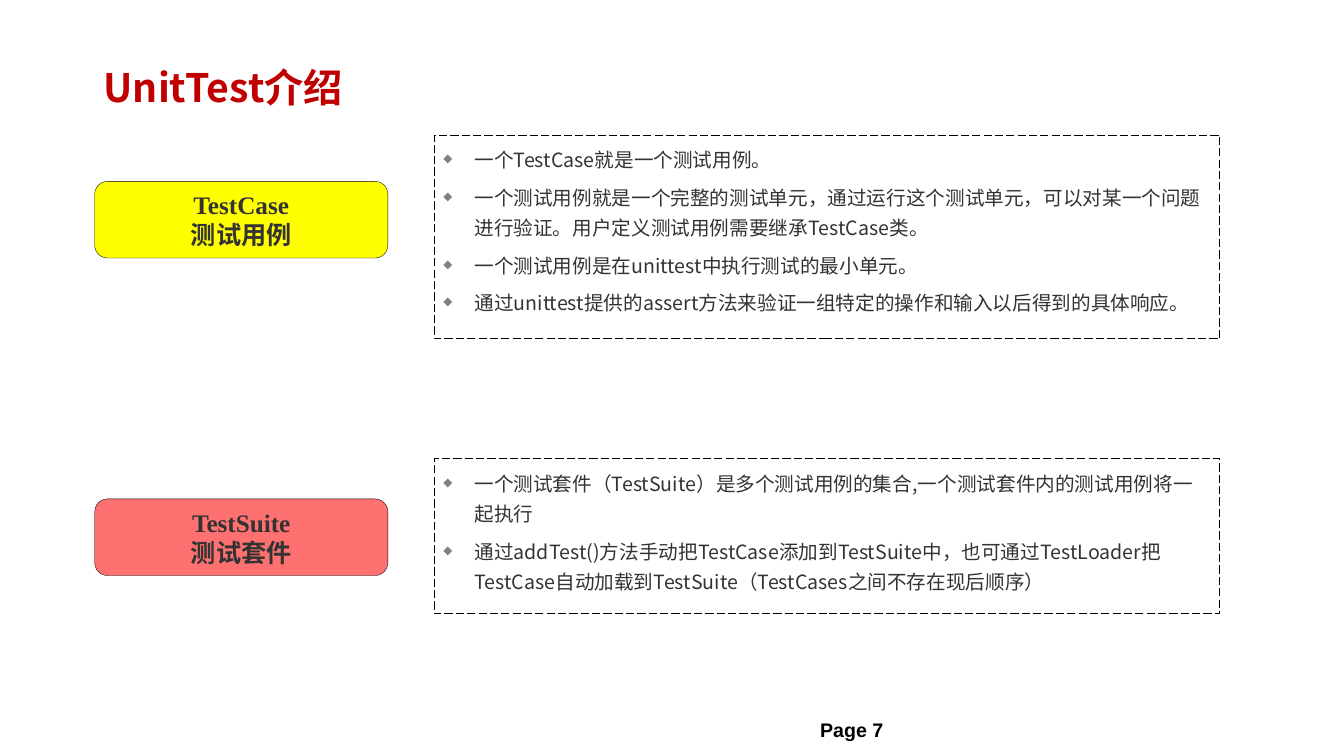
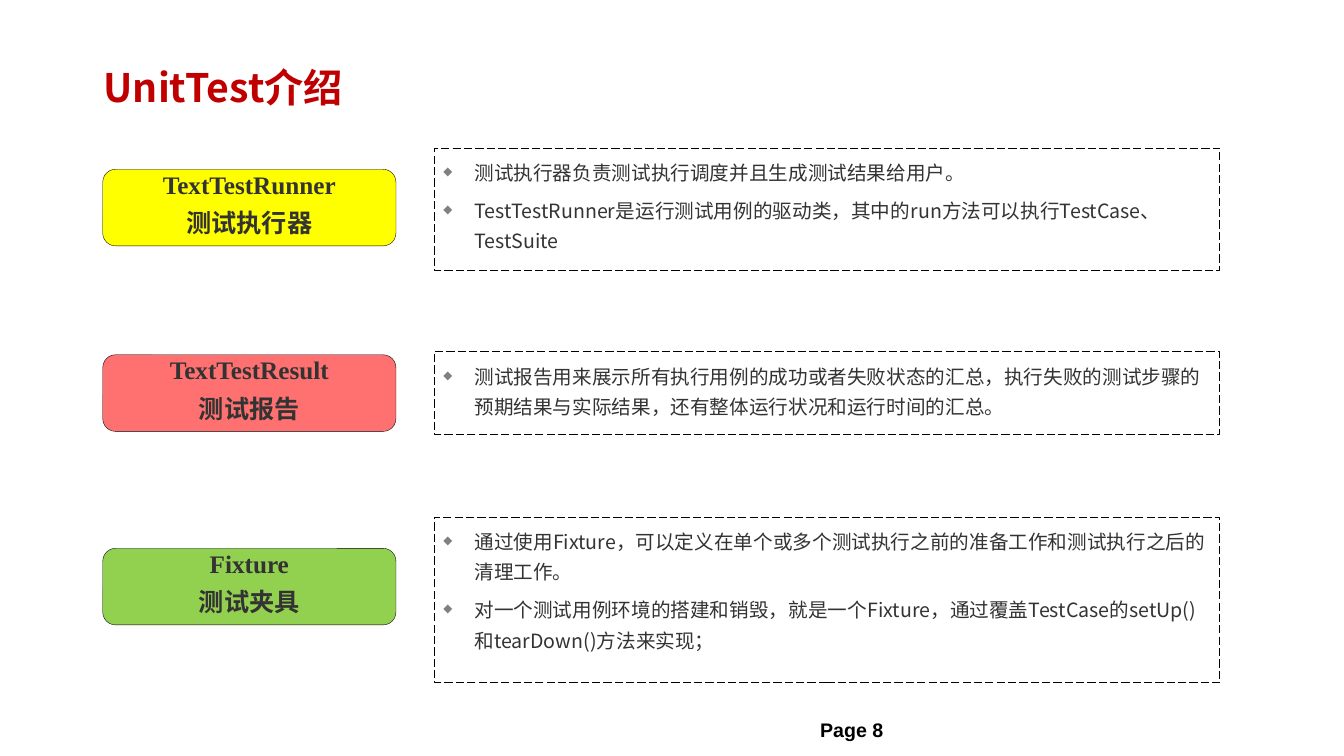
from pptx import Presentation
from pptx.dml.color import RGBColor
from pptx.enum import dml, shapes, text
from pptx.oxml import parse_xml
from pptx.oxml.ns import nsdecls, qn
from pptx.util import Pt

PX = 9144  # EMU per px, 100 px to the inch
COLORS = {
    "title": "C00000", "body": "333333", "page": "000000", "line": "000000",
    "bullet": "808080", "yellow": "FFFF00", "red": "FF7070", "green": "92D050",
}
CJK = "Noto Sans CJK SC"
FONTS = {
    "title": {"name": CJK, "size": Pt(28), "bold": True},
    "body": {"name": CJK, "size": Pt(14), "bold": False},
    "label": {"name": "Times New Roman", "size": Pt(18), "bold": True},
    "page": {"name": "Arial", "size": Pt(14), "bold": True},
}
LABEL_W, LABEL_H = 291, 76
NOTE_X, NOTE_W = 431, 780
BODY_SPACING = {"line_spacing": Pt(21.7), "space_before": Pt(5.2)}
LOOSE_LABEL = {"line_spacing": Pt(15.7), "space_before": Pt(6), "space_after": Pt(6)}


def rgb(name):
    return RGBColor.from_string(COLORS[name])


def set_all(target, values):
    for name, value in values.items():
        setattr(target, name, value)


class Deck:
    """Holds the shared style and the current slide."""

    def __init__(self, width, height):
        self.prs = Presentation()
        self.prs.slide_width, self.prs.slide_height = width * PX, height * PX
        self.s = None

    def new_slide(self, title, page):
        self.s = self.prs.slides.add_slide(self.prs.slide_layouts[6])
        self.textbox((805, 708, 164, 32), f"Page {page}", "page", "page")
        self.textbox((94, 39, 1127, 95), title, "title", "title",
                     text.MSO_ANCHOR.MIDDLE)

    def frame(self, sp, anchor, insets=(9, 4, 9, 4)):
        tf = sp.text_frame
        sides = ("margin_left", "margin_top", "margin_right", "margin_bottom")
        set_all(tf, {side: px * PX for side, px in zip(sides, insets)})
        set_all(tf, {"word_wrap": True, "vertical_anchor": anchor})
        return tf

    def paragraphs(self, tf, lines, font, color, align=text.PP_ALIGN.LEFT,
                   spacing=None, bullets=False):
        for i, line in enumerate(lines):
            p = tf.add_paragraph() if i else tf.paragraphs[0]
            set_all(p, {"alignment": align, **(spacing or {})})
            if i == 0:
                p.space_before = Pt(0)
            if bullets:
                self.bullet(p)
            r = p.add_run()
            r.text = line
            set_all(r.font, FONTS[font])
            r.font.color.rgb = rgb(color)
            r.font._element.find(qn("a:latin")).addnext(
                parse_xml(f'<a:ea {nsdecls("a")} typeface="{CJK}"/>'))

    def bullet(self, p):
        pPr = p._p.get_or_add_pPr()
        pPr.set("marL", str(31 * PX))
        pPr.set("indent", str(-31 * PX))
        ns = nsdecls("a")
        for xml in (
            f'<a:buClr {ns}><a:srgbClr val="{COLORS["bullet"]}"/></a:buClr>',
            f'<a:buSzPct {ns} val="60000"/>',
            f'<a:buChar {ns} char="◆"/>',
        ):
            pPr.append(parse_xml(xml))

    def textbox(self, box, line, font, color, anchor=text.MSO_ANCHOR.TOP):
        sp = self.s.shapes.add_textbox(*(v * PX for v in box))
        self.paragraphs(self.frame(sp, anchor), [line], font, color)

    def shape(self, kind, box, width, fill=None):
        sp = self.s.shapes.add_shape(kind, *(v * PX for v in box))
        sp.shadow.inherit = False
        if fill:
            sp.fill.solid()
            sp.fill.fore_color.rgb = rgb(fill)
        else:
            sp.fill.background()
        sp.line.color.rgb = rgb("line")
        sp.line.width = Pt(width)
        return sp

    def label(self, x, y, lines, fill, spacing):
        sp = self.shape(shapes.MSO_SHAPE.ROUNDED_RECTANGLE,
                        (x, y, LABEL_W, LABEL_H), 0.25, fill)
        tf = self.frame(sp, text.MSO_ANCHOR.MIDDLE, (8, 4, 8, 4))
        self.paragraphs(tf, lines, "label", "body", text.PP_ALIGN.CENTER, spacing)

    def note(self, y, height, lines):
        sp = self.shape(shapes.MSO_SHAPE.RECTANGLE,
                        (NOTE_X, y, NOTE_W, height), 0.75)
        sp.line.dash_style = dml.MSO_LINE.LONG_DASH
        tf = self.frame(sp, text.MSO_ANCHOR.TOP, (9, 6, 9, 4))
        self.paragraphs(tf, lines, "body", "body", spacing=BODY_SPACING,
                        bullets=True)


# Each slide: page, label left, label spacing, rows
# Each row: label top, fill, label lines, note top, note height, note lines
SLIDES = [
    (7, 94, None, [
        (180, "yellow", ["TestCase", "测试用例"], 134, 202, [
            "一个TestCase就是一个测试用例。",
            "一个测试用例就是一个完整的测试单元，通过运行这个测试单元，可以对某一个问题进行验证。用户定义测试用例需要继承TestCase类。",
            "一个测试用例是在unittest中执行测试的最小单元。",
            "通过unittest提供的assert方法来验证一组特定的操作和输入以后得到的具体响应。",
        ]),
        (495, "red", ["TestSuite", "测试套件"], 455, 154, [
            "一个测试套件（TestSuite）是多个测试用例的集合,一个测试套件内的测试用例将一起执行",
            "通过addTest()方法手动把TestCase添加到TestSuite中，也可通过TestLoader把TestCase自动加载到TestSuite（TestCases之间不存在现后顺序）",
        ]),
    ]),
    (8, 102, LOOSE_LABEL, [
        (168, "yellow", ["TextTestRunner", "测试执行器"], 147, 121, [
            "测试执行器负责测试执行调度并且生成测试结果给用户。",
            "TestTestRunner是运行测试用例的驱动类，其中的run方法可以执行TestCase、TestSuite",
        ]),
        (352, "red", ["TextTestResult", "测试报告"], 349, 82, [
            "测试报告用来展示所有执行用例的成功或者失败状态的汇总，执行失败的测试步骤的预期结果与实际结果，还有整体运行状况和运行时间的汇总。",
        ]),
        (544, "green", ["Fixture", "测试夹具"], 513, 164, [
            "通过使用Fixture，可以定义在单个或多个测试执行之前的准备工作和测试执行之后的清理工作。",
            "对一个测试用例环境的搭建和销毁，就是一个Fixture，通过覆盖TestCase的setUp()和tearDown()方法来实现；",
        ]),
    ]),
]


def main():
    deck = Deck(1334, 750)
    for page, label_x, spacing, rows in SLIDES:
        deck.new_slide("UnitTest介绍", page)
        for label_y, fill, names, note_y, note_h, notes in rows:
            deck.label(label_x, label_y, names, fill, spacing)
            deck.note(note_y, note_h, notes)
    deck.prs.save("out.pptx")


if __name__ == "__main__":
    main()
